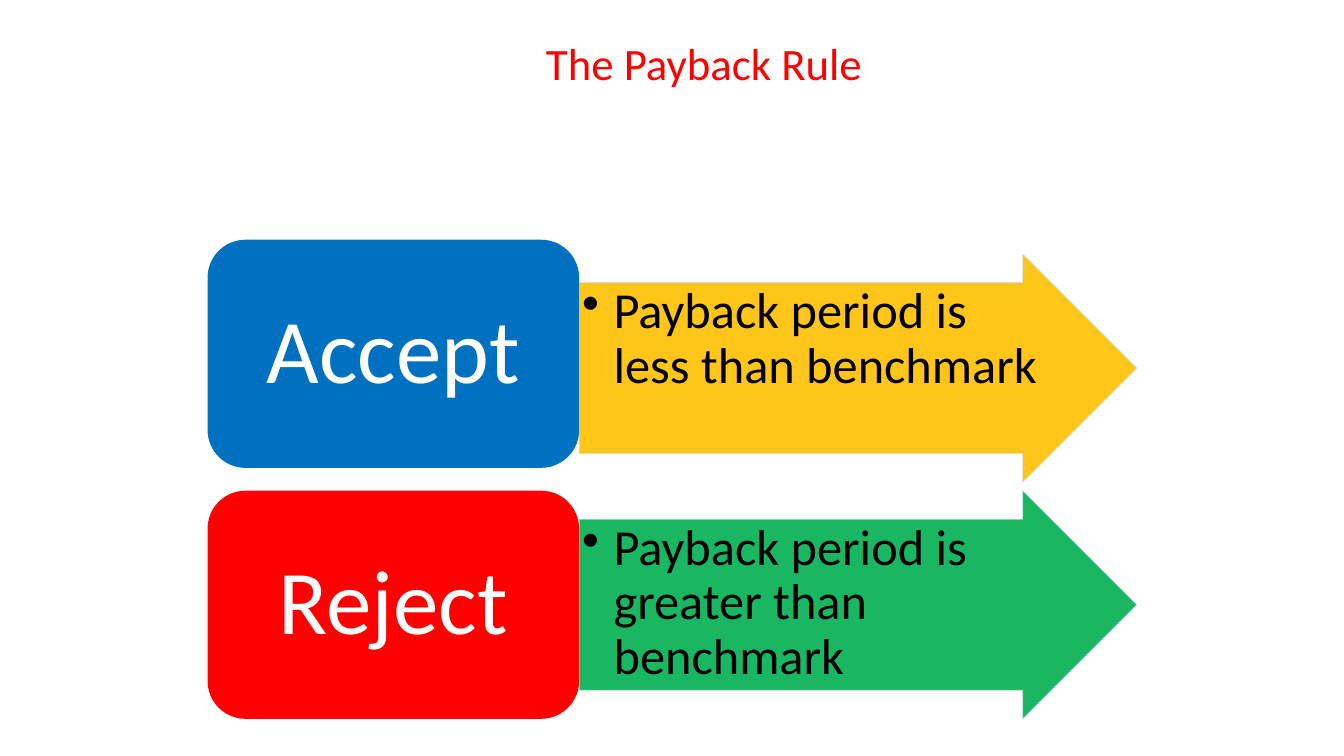
from lxml import etree
from pptx import Presentation
from pptx import util as u
from pptx.dml.color import RGBColor
from pptx.enum import shapes, text
from pptx.oxml import ns

THEME = {
    "font": "Calibri",
    "title": (32, "FF0000"),
    "verdict": (65, "FFFFFF"),
    "rule": (36, "000005"),
    "accept": "0070C0",
    "accept_arrow": "FFC000",
    "reject": "FF0000",
    "reject_arrow": "00B050",
    "outline": "D2DEEF",
}


def write(frame, words, style, align, anchor, inset_x, inset_y):
    frame.word_wrap = True
    frame.auto_size = text.MSO_AUTO_SIZE.NONE
    frame.vertical_anchor = anchor
    frame.margin_left = frame.margin_right = u.Pt(inset_x)
    frame.margin_top = frame.margin_bottom = u.Pt(inset_y)
    para = frame.paragraphs[0]
    para.text = words
    para.alignment = align
    size, color = THEME[style]
    para.font.name = THEME["font"]
    para.font.size = u.Pt(size)
    para.font.color.rgb = RGBColor.from_string(color)
    return para


def add_block(kind, left, top, width, height, color):
    block = page.shapes.add_shape(kind, u.Pt(left), u.Pt(top), u.Pt(width), u.Pt(height))
    block.shadow.inherit = False
    block.fill.solid()
    block.fill.fore_color.rgb = RGBColor.from_string(THEME[color])
    block.line.fill.background()
    return block


deck = Presentation()
deck.slide_width, deck.slide_height = u.Pt(960), u.Pt(540)
page = deck.slides.add_slide(deck.slide_layouts[5])

title = page.shapes.title
title.left, title.top, title.width, title.height = u.Pt(390), u.Pt(18), u.Pt(570), u.Pt(54)
write(title.text_frame, "The Payback Rule", "title",
      text.PP_ALIGN.LEFT, text.MSO_ANCHOR.MIDDLE, 0, 0)

BOX_LEFT, BOX_WIDTH, ARROW_WIDTH, HEIGHT = 148.25, 265.5, 398.25, 163
ROWS = [
    ("Accept", "Payback period is less than benchmark", "accept", 171.25, 181.5),
    ("Reject", "Payback period is greater than benchmark", "reject", 350.5, 350.5),
]

for verdict, rule, color, box_top, arrow_top in ROWS:
    arrow = add_block(shapes.MSO_SHAPE.RIGHT_ARROW, BOX_LEFT + BOX_WIDTH, arrow_top,
                      ARROW_WIDTH, HEIGHT, color + "_arrow")
    arrow.adjustments[0], arrow.adjustments[1] = 0.75, 0.5
    arrow.line.color.rgb = RGBColor.from_string(THEME["outline"])
    arrow.line.width = u.Pt(0.5)
    for tint in arrow.element.spPr.iter(ns.qn("a:srgbClr")):
        etree.SubElement(tint, ns.qn("a:alpha"), val="90000")
    para = write(arrow.text_frame, rule, "rule",
                 text.PP_ALIGN.LEFT, text.MSO_ANCHOR.TOP, 2, 2)
    para.level = 1
    para.line_spacing = 0.9
    props = para._p.get_or_add_pPr()
    props.set("marL", str(u.Pt(22.5)))
    props.set("indent", str(u.Pt(-22.5)))
    bullet = etree.Element(ns.qn("a:buChar"), char="•")
    props.find(ns.qn("a:lnSpc")).addnext(bullet)

    box = add_block(shapes.MSO_SHAPE.ROUNDED_RECTANGLE, BOX_LEFT, box_top,
                    BOX_WIDTH, HEIGHT, color)
    para = write(box.text_frame, verdict, "verdict",
                 text.PP_ALIGN.CENTER, text.MSO_ANCHOR.MIDDLE, 19.5, 9.75)
    para.line_spacing = 0.9

deck.save("out.pptx")
